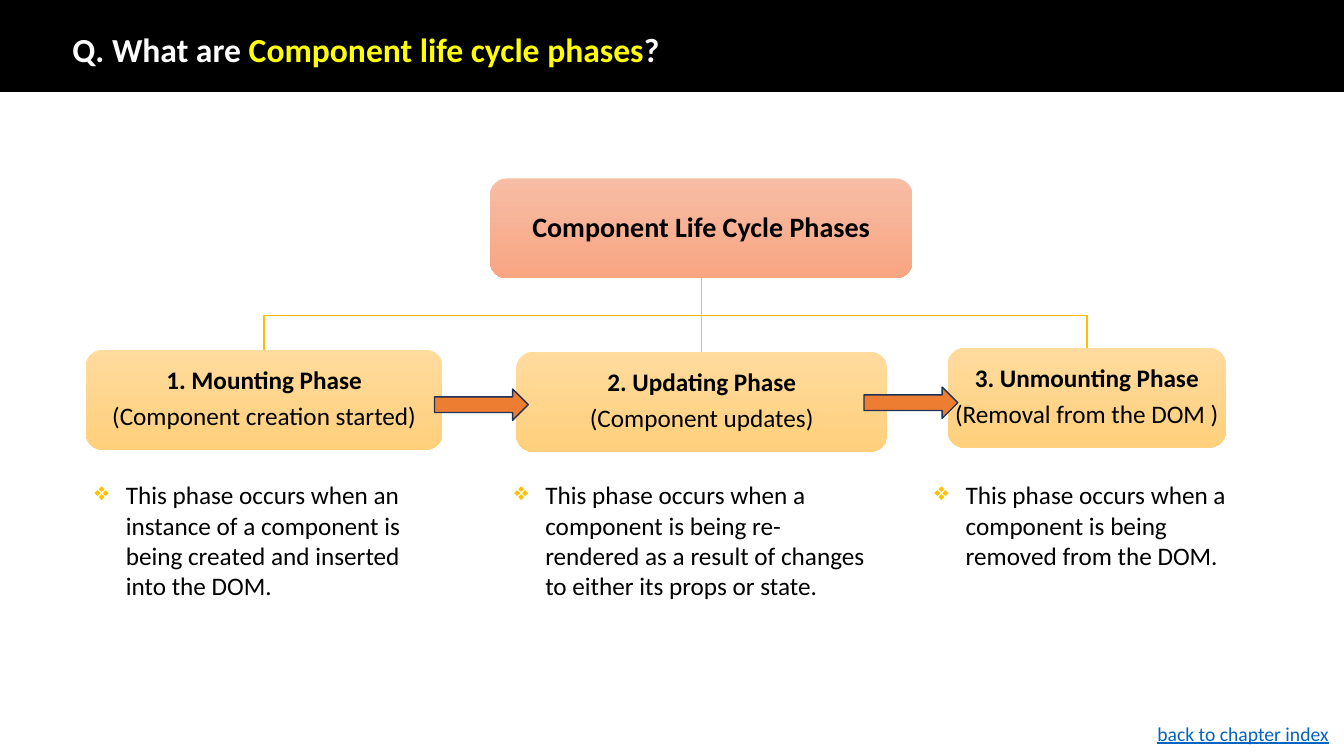
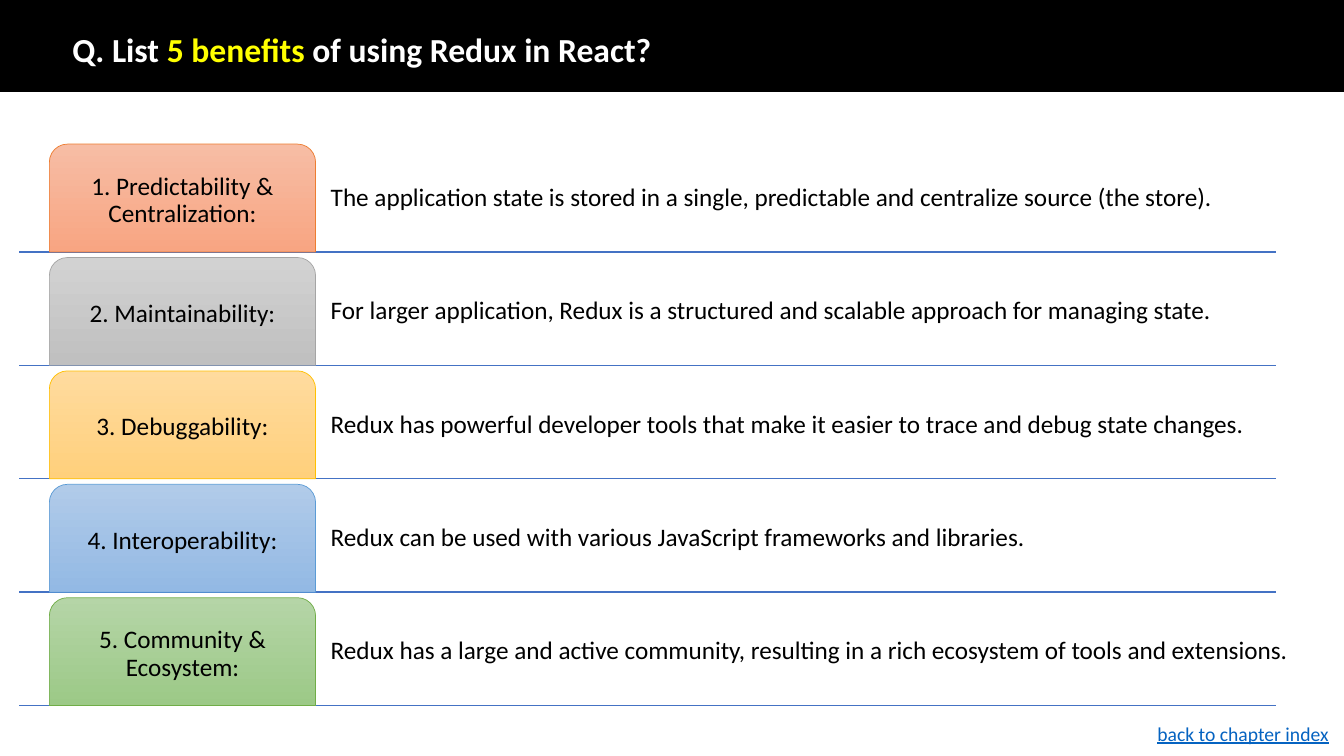
"""Build two React interview slides: component life cycle phases and Redux benefits."""
from dataclasses import dataclass

from lxml import etree
from pptx import Presentation
from pptx.dml.color import RGBColor
from pptx.enum.shapes import MSO_CONNECTOR, MSO_SHAPE
from pptx.enum.text import MSO_ANCHOR, PP_ALIGN
from pptx.oxml.ns import qn
from pptx.util import Inches, Pt

RECTANGLE = MSO_SHAPE.RECTANGLE
CARD = MSO_SHAPE.FLOWCHART_ALTERNATE_PROCESS
TAB = MSO_SHAPE.ROUND_2_SAME_RECTANGLE
ARROW = MSO_SHAPE.RIGHT_ARROW
STRAIGHT = MSO_CONNECTOR.STRAIGHT
LEFT, CENTER = PP_ALIGN.LEFT, PP_ALIGN.CENTER
TOP, MIDDLE = MSO_ANCHOR.TOP, MSO_ANCHOR.MIDDLE


@dataclass(frozen=True)
class Theme:
    font: str = "Calibri"
    black: str = "000000"
    white: str = "FFFFFF"
    highlight: str = "FFFF00"
    link: str = "0563C1"
    gold: str = "FFC000"
    rule: str = "4472C4"
    arrow: str = "ED7D31"
    arrow_edge: str = "1E3256"
    coral: tuple = ("F7BDA5", "F8A582")
    gray: tuple = ("D2D2D2", "C0C0C0")
    amber: tuple = ("FFDB9E", "FFD07C")
    blue: tuple = ("B1CBE9", "93B9E4")
    green: tuple = ("B5D5A7", "9CC987")
    title_size: int = 24
    heading_size: int = 20
    body_size: int = 18
    footer_size: int = 14
    tight: float = 0.9
    paragraph_gap: float = 6.3


THEME = Theme()
SLIDE_WIDTH, SLIDE_HEIGHT = 13.33, 7.5
FOOTER = "back to chapter index"

LIFE_CYCLE_TITLE = ("Q. What are ", "Component life cycle phases", "?")
ROOT = "Component Life Cycle Phases"
ROOT_BOX = (4.86, 1.77, 4.19, 0.99)
PHASES = [
    {"name": "1. Mounting Phase", "hint": "(Component creation started)",
     "card": (0.85, 3.47, 3.54, 0.99), "note_box": (0.84, 4.71, 3.4, 1.31),
     "note": "This phase occurs when an instance of a component is being created "
             "and inserted into the DOM."},
    {"name": "2. Updating Phase", "hint": "(Component updates)",
     "card": (5.12, 3.49, 3.68, 0.99), "note_box": (5, 4.71, 3.75, 1.31),
     "note": "This phase occurs when a component is being re-rendered as a result "
             "of changes to either its props or state."},
    {"name": "3. Unmounting Phase", "hint": "(Removal from the DOM )",
     "card": (9.4, 3.45, 2.76, 0.99), "note_box": (9.17, 4.71, 3.4, 1.01),
     "note": "This phase occurs when a component is being removed from the DOM."},
]
BRANCH_Y = 3.13
ARROW_BOXES = [(4.31, 3.86, 0.93, 0.31), (8.57, 3.84, 0.93, 0.31)]

BENEFITS_TITLE = ("Q. List ", "5 benefits", " of using Redux in React?")
BENEFITS = [
    ("1. Predictability & Centralization:",
     "The application state is stored in a single, predictable and centralize source (the store).",
     THEME.coral, "ED7D31"),
    ("2. Maintainability:",
     "For larger application, Redux is a structured and scalable approach for managing state.",
     THEME.gray, "A5A5A5"),
    ("3. Debuggability:",
     "Redux has powerful developer tools that make it easier to trace and debug state changes.",
     THEME.amber, "FFC000"),
    ("4. Interoperability:",
     "Redux can be used with various JavaScript frameworks and libraries.",
     THEME.blue, "5B9BD5"),
    ("5. Community & Ecosystem:",
     "Redux has a large and active community, resulting in a rich ecosystem of tools and extensions.",
     THEME.green, "70AD47"),
]
FIRST_ROW, LAST_ROW, ROW_HEIGHT = 1.43, 5.93, 1.07
TAB_LEFT, TAB_WIDTH = 0.49, 2.64
DETAIL_LEFT, DETAIL_WIDTH = 3.24, 9.61
RULE_LEFT, RULE_RIGHT = 0.19, 12.66


def rgb(color):
    return RGBColor.from_string(color)


def lengths(values):
    return [Inches(value) for value in values]


def add_bullet(paragraph):
    properties = paragraph._p.get_or_add_pPr()
    properties.set("marL", str(Inches(0.31)))
    properties.set("indent", str(Inches(-0.31)))
    color = etree.SubElement(properties, qn("a:buClr"))
    etree.SubElement(color, qn("a:srgbClr"), val=THEME.gold)
    etree.SubElement(properties, qn("a:buChar"), char="❖")


def write(shape, paragraphs, size=THEME.body_size, color=THEME.black, bold=False,
          underline=False, align=LEFT, anchor=TOP, inset=None, spacing=None,
          gap=0, bullet=False):
    """Fill a shape with paragraphs, each a list of (text, overrides) runs."""
    frame = shape.text_frame
    frame.word_wrap = True
    frame.vertical_anchor = anchor
    if inset is not None:
        frame.margin_left = frame.margin_right = Inches(inset)
        frame.margin_top = frame.margin_bottom = Inches(inset)
    for index, runs in enumerate(paragraphs):
        paragraph = frame.add_paragraph() if index else frame.paragraphs[0]
        if bullet:
            add_bullet(paragraph)
        paragraph.alignment = align
        if spacing:
            paragraph.line_spacing = spacing
        if index < len(paragraphs) - 1:
            paragraph.space_after = Pt(gap)
        for text, overrides in runs:
            run = paragraph.add_run()
            run.text = text
            font = run.font
            font.name, font.size = THEME.font, Pt(size)
            font.bold = overrides.get("bold", bold)
            font.underline = underline
            font.color.rgb = rgb(overrides.get("color", color))


def add_text(slide, box, paragraphs, **text_format):
    write(slide.shapes.add_textbox(*lengths(box)), paragraphs, **text_format)


def add_block(slide, kind, box, fill, line=None, width=1):
    """Add a preset shape; a pair of colours gives a downward gradient."""
    shape = slide.shapes.add_shape(kind, *lengths(box))
    shape.shadow.inherit = False
    if isinstance(fill, tuple):
        shape.fill.gradient()
        shape.fill.gradient_angle = 270
        for stop, color in zip(shape.fill.gradient_stops, fill):
            stop.color.rgb = rgb(color)
    else:
        shape.fill.solid()
        shape.fill.fore_color.rgb = rgb(fill)
    if line:
        shape.line.color.rgb = rgb(line)
        shape.line.width = Pt(width)
    else:
        shape.line.fill.background()
    return shape


def add_line(slide, ends, color):
    line = slide.shapes.add_connector(STRAIGHT, *lengths(ends))
    line.line.color.rgb = rgb(color)
    line.line.width = Pt(1)
    etree.SubElement(line._element.spPr, qn("a:effectLst"))


def add_branch(slide, points):
    start, *others = [lengths(point) for point in points]
    builder = slide.shapes.build_freeform(*start)
    builder.add_line_segments(others, close=False)
    branch = builder.convert_to_shape()
    branch.shadow.inherit = False
    branch.fill.background()
    branch.line.color.rgb = rgb(THEME.gold)
    branch.line.width = Pt(1)


def add_question_slide(presentation, title):
    slide = presentation.slides.add_slide(presentation.slide_layouts[6])
    add_block(slide, RECTANGLE, (0, 0, SLIDE_WIDTH, 0.91), THEME.black, THEME.black)
    before, key, after = title
    add_text(slide, (0.62, 0.34, 11.5, 0.35),
             [[(before, {}), (key, {"color": THEME.highlight}), (after, {})]],
             size=THEME.title_size, color=THEME.white, bold=True,
             anchor=MIDDLE, spacing=THEME.tight)
    add_text(slide, (11.38, 7.11, 1.95, 0.34), [[(FOOTER, {})]],
             size=THEME.footer_size, color=THEME.link, underline=True)
    return slide


def build_life_cycle(presentation):
    slide = add_question_slide(presentation, LIFE_CYCLE_TITLE)
    tops = [phase["card"][1] for phase in PHASES]
    centers = [phase["card"][0] + phase["card"][2] / 2 for phase in PHASES]
    root_bottom = ROOT_BOX[1] + ROOT_BOX[3]
    add_branch(slide, [(centers[0], tops[0]), (centers[0], BRANCH_Y),
                       (centers[2], BRANCH_Y), (centers[2], tops[2])])
    add_line(slide, (centers[1], root_bottom, centers[1], tops[1]), THEME.gold)

    card_format = dict(align=CENTER, anchor=MIDDLE, inset=0.01, bold=True,
                       spacing=THEME.tight, gap=THEME.paragraph_gap)
    write(add_block(slide, CARD, ROOT_BOX, THEME.coral), [[(ROOT, {})]],
          size=THEME.heading_size, **card_format)
    for phase in PHASES:
        write(add_block(slide, CARD, phase["card"], THEME.amber),
              [[(phase["name"], {})], [(phase["hint"], {"bold": False})]], **card_format)
        add_text(slide, phase["note_box"], [[(phase["note"], {})]], bullet=True)
    for box in ARROW_BOXES:
        add_block(slide, ARROW, box, THEME.arrow, THEME.arrow_edge)


def build_benefits(presentation):
    slide = add_question_slide(presentation, BENEFITS_TITLE)
    pitch = (LAST_ROW - FIRST_ROW) / (len(BENEFITS) - 1)
    row_format = dict(anchor=MIDDLE, inset=0.04, spacing=THEME.tight)
    for index, (name, detail, fill, edge) in enumerate(BENEFITS):
        top = FIRST_ROW + index * pitch
        bottom = top + ROW_HEIGHT
        add_line(slide, (RULE_LEFT, bottom, RULE_RIGHT, bottom), THEME.rule)
        add_text(slide, (DETAIL_LEFT, top, DETAIL_WIDTH, ROW_HEIGHT),
                 [[(detail, {})]], **row_format)
        tab = add_block(slide, TAB, (TAB_LEFT, top, TAB_WIDTH, ROW_HEIGHT), fill, edge, 0.5)
        write(tab, [[(name, {})]], align=CENTER, **row_format)


def main():
    presentation = Presentation()
    presentation.slide_width = Inches(SLIDE_WIDTH)
    presentation.slide_height = Inches(SLIDE_HEIGHT)
    build_life_cycle(presentation)
    build_benefits(presentation)
    presentation.save("out.pptx")


if __name__ == "__main__":
    main()
